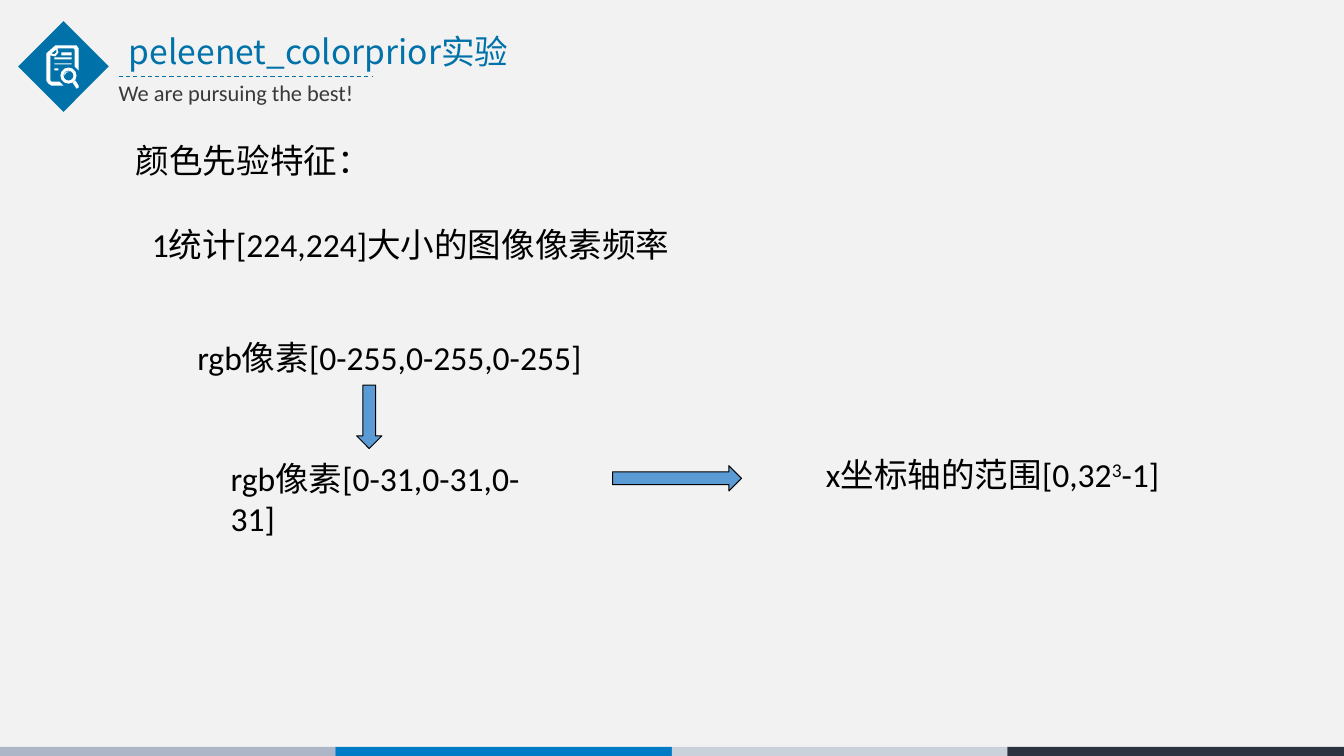
from dataclasses import dataclass

from lxml.etree import SubElement
from pptx import Presentation
from pptx.dml.color import RGBColor
from pptx.enum.dml import MSO_LINE
from pptx.enum.shapes import MSO_CONNECTOR, MSO_SHAPE
from pptx.enum.text import MSO_ANCHOR, MSO_AUTO_SIZE, PP_ALIGN
from pptx.oxml.ns import qn
from pptx.util import Pt

PX = 9144  # EMU per px, 100 px to the inch
WIDTH, HEIGHT = 1334, 750


@dataclass(frozen=True)
class Theme:
    background: str = "F2F2F2"
    accent: str = "0072A9"
    white: str = "FFFFFF"
    tagline: str = "3B3838"
    text: str = "000000"
    arrow: str = "5B9BD5"
    footer: tuple = ("ADB6C7", "007BC6", "CBD1DB", "2C3441")
    latin: str = "Calibri"
    cjk: str = "Noto Sans CJK SC"
    body_size: int = 24
    tagline_size: int = 16
    line_width: float = 0.75


THEME = Theme()


def rgb(value):
    return RGBColor.from_string(value)


def emu(*lengths):
    return [length * PX for length in lengths]


def paint(shape, fill, line=None):
    shape.shadow.inherit = False
    shape.fill.solid()
    shape.fill.fore_color.rgb = rgb(fill)
    if line:
        shape.line.color.rgb = rgb(line)
        shape.line.width = Pt(THEME.line_width)
    else:
        shape.line.fill.background()


def add_preset(s, kind, box, fill, line=None):
    shape = s.shapes.add_shape(kind, *emu(*box))
    paint(shape, fill, line)
    return shape


def write(shape, text, color=THEME.text, size=THEME.body_size, latin=THEME.latin):
    """Fill a text shape; in text, parts between ^ marks are superscript."""
    tf = shape.text_frame
    tf.word_wrap = True
    tf.auto_size = MSO_AUTO_SIZE.NONE
    tf.vertical_anchor = MSO_ANCHOR.TOP
    p = tf.paragraphs[0]
    p.alignment = PP_ALIGN.LEFT
    p.font.name = latin
    p.font.size = Pt(size)
    p.font.color.rgb = rgb(color)
    SubElement(p.font._element, qn("a:ea"), typeface=THEME.cjk)
    for i, part in enumerate(text.split("^")):
        r = p.add_run()
        r.text = part
        if i % 2:
            r.font._element.set("baseline", "30000")


def add_text(s, box, text, **style):
    write(s.shapes.add_textbox(*emu(*box)), text, **style)


def add_search_icon(s, x, y):
    """Document with a magnifier, 32 by 43 px."""
    contours = [
        # page frame
        [(9, 0), (30, 0), (32, 3), (32, 25), (28, 21), (28, 4), (27, 3), (11, 3), (12, 7),
         (9, 11), (4, 10), (4, 35), (5, 36), (13, 36), (17, 40), (5, 40), (2, 38), (0, 35), (0, 8)],
        # folded corner
        [(10, 4), (5, 8), (8, 9), (10, 7)],
        # magnifier handle
        [(26, 37), (29, 35), (32, 40), (32, 42), (30, 43)],
        # lens glint
        [(18, 30), (20, 27), (24, 26), (20, 26), (18, 28)],
    ]
    for left, top, right, bottom in ((15, 7, 25, 10), (8, 12, 25, 14), (8, 18, 25, 19), (8, 23, 12, 25)):
        contours.append([(left, top), (right, top), (right, bottom), (left, bottom)])
    contours = [[(x + dx, y + dy) for dx, dy in contour] for contour in contours]
    builder = s.shapes.build_freeform(*contours[0][0], scale=PX)
    for i, (start, *rest) in enumerate(contours):
        if i:
            builder.move_to(*start)
        builder.add_line_segments(rest, close=True)
    paint(builder.convert_to_shape(), THEME.white)
    lens = add_preset(s, MSO_SHAPE.DONUT, (x + 14, y + 22, 16, 16), THEME.white)
    lens.adjustments[0] = 0.19


def add_header(s, x, y):
    add_preset(s, MSO_SHAPE.DIAMOND, (x, y, 90, 90), THEME.accent)
    add_search_icon(s, x + 28, y + 24)
    title = s.shapes.title
    title.left, title.top, title.width, title.height = emu(x + 100, y + 5, 447, 50)
    write(title, "peleenet_colorprior实验", color=THEME.accent, latin=THEME.cjk)
    rule = s.shapes.add_connector(MSO_CONNECTOR.STRAIGHT, *emu(x + 100, y + 55, x + 352, y + 55))
    rule.line.color.rgb = rgb(THEME.accent)
    rule.line.width = Pt(THEME.line_width)
    rule.line.dash_style = MSO_LINE.DASH
    SubElement(rule._element.spPr, qn("a:effectLst"))
    add_text(s, (x + 90, y + 53, 337, 37), "We are pursuing the best!",
             color=THEME.tagline, size=THEME.tagline_size)


def add_pixel_flow(s, x, y):
    add_text(s, (x, y, 477, 50), "rgb像素[0-255,0-255,0-255]")
    add_text(s, (x + 33, y + 120, 346, 90), "rgb像素[0-31,0-31,0-31]")
    add_text(s, (x + 624, y + 116, 385, 50), "x坐标轴的范围[0,32^3^-1]")
    for kind, box in ((MSO_SHAPE.DOWN_ARROW, (x + 168, y + 53, 25, 63)),
                      (MSO_SHAPE.RIGHT_ARROW, (x + 422, y + 133, 128, 25))):
        add_preset(s, kind, box, THEME.arrow, THEME.text)


def add_footer(s, y, height):
    count = len(THEME.footer)
    edges = [WIDTH * i // count for i in range(count + 1)]
    for left, right, color in zip(edges, edges[1:], THEME.footer):
        add_preset(s, MSO_SHAPE.RECTANGLE, (left, y, right - left, height), color)


def main():
    prs = Presentation()
    prs.slide_width, prs.slide_height = emu(WIDTH, HEIGHT)
    s = prs.slides.add_slide(prs.slide_layouts.get_by_name("Title Only"))
    s.background.fill.solid()
    s.background.fill.fore_color.rgb = rgb(THEME.background)
    add_footer(s, 741, HEIGHT - 741)
    add_header(s, 18, 21)
    add_text(s, (125, 134, 220, 90), "颜色先验特征：")
    add_text(s, (141, 217, 601, 50), "1统计[224,224]大小的图像像素频率")
    add_pixel_flow(s, 186, 329)
    prs.save("out.pptx")


if __name__ == "__main__":
    main()
